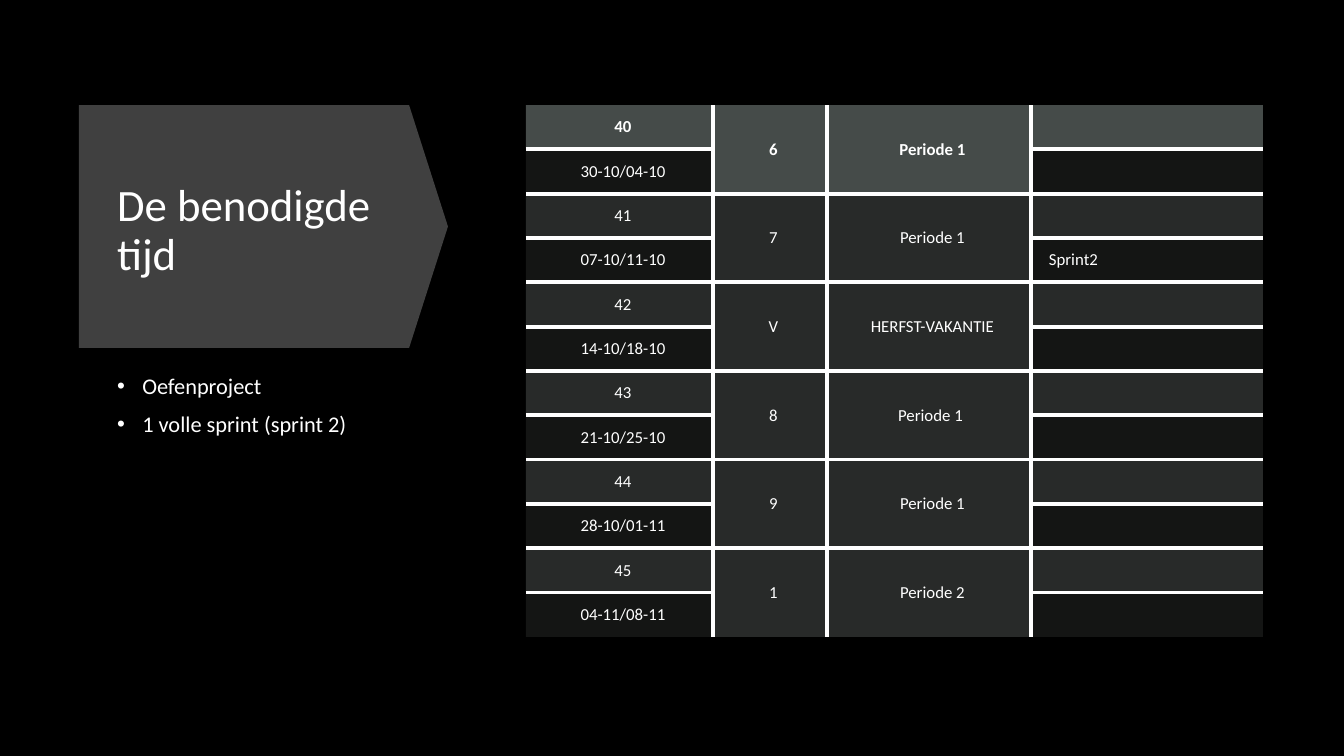
import pptx
import pptx.util
import pptx.dml.color
import pptx.enum.shapes
import pptx.enum.text
from lxml import etree

PX = 914400 / 100.8
DRAWING_NS = "http://schemas.openxmlformats.org/drawingml/2006/main"
WHITE = "FFFFFF"
MIDDLE = pptx.enum.text.MSO_ANCHOR.MIDDLE
LEFT = pptx.enum.text.PP_ALIGN.LEFT
CENTER = pptx.enum.text.PP_ALIGN.CENTER


def px(*lengths):
    """Convert pixel lengths to EMU."""
    return [pptx.util.Emu(round(length * PX)) for length in lengths]


def paint(target, color, size=None, bold=False):
    """Colour a fill, or style a font when a size is given."""
    rgb = pptx.dml.color.RGBColor.from_string(color)
    if size is None:
        target.solid()
        target.fore_color.rgb = rgb
    else:
        target.name = "Calibri"
        target.size = pptx.util.Pt(size)
        target.bold = bold
        target.color.rgb = rgb


presentation = pptx.Presentation()
presentation.slide_width, presentation.slide_height = px(1344, 756)
slide = presentation.slides.add_slide(presentation.slide_layouts[1])
paint(slide.background.fill, "000000")

# Arrow behind the title
arrow = slide.shapes.add_shape(
    pptx.enum.shapes.MSO_SHAPE.DOWN_ARROW, *px(142, 42, 243, 369))
arrow.rotation = 270
arrow.adjustments[0] = 1
arrow.adjustments[1] = 0.16
arrow.shadow.inherit = False
paint(arrow.fill, "404040")
arrow.line.fill.background()
slide.shapes._spTree.insert(2, arrow._element)

# Title and list
heading = slide.shapes.title
goals = slide.placeholders[1]
heading.text_frame.text = "De benodigde tijd"
goals.text_frame.text = "Oefenproject\n1 volle sprint (sprint 2)"
for placeholder, top, height, size in [(heading, 133, 197, 32), (goals, 370, 267, 16)]:
    placeholder.left, placeholder.top, placeholder.width, placeholder.height = px(
        107, top, 294, height)
    placeholder.text_frame.word_wrap = True
    placeholder.text_frame.auto_size = pptx.enum.text.MSO_AUTO_SIZE.NONE
    for paragraph in placeholder.text_frame.paragraphs:
        paragraph.alignment = LEFT
        paragraph.line_spacing = 0.9
        paint(paragraph.runs[0].font, WHITE, size)
heading.text_frame.vertical_anchor = MIDDLE
goals.text_frame.vertical_anchor = pptx.enum.text.MSO_ANCHOR.TOP
for paragraph in goals.text_frame.paragraphs:
    paragraph.space_before = pptx.util.Pt(10)
    indents = paragraph._p.get_or_add_pPr()
    indents.set("marL", "228600")
    indents.set("indent", "-228600")
    bullet = etree.SubElement(indents, f"{{{DRAWING_NS}}}buChar")
    bullet.set("char", "•")

# Planning: two rows per week
weeks = [
    ("40", "30-10/04-10", "6", "Periode 1", ""),
    ("41", "07-10/11-10", "7", "Periode 1", "Sprint2"),
    ("42", "14-10/18-10", "V", "HERFST-VAKANTIE", ""),
    ("43", "21-10/25-10", "8", "Periode 1 ", ""),
    ("44", "28-10/01-11", "9", "Periode 1", ""),
    ("45", "04-11/08-11", "1", "Periode 2", ""),
]
planning_rows = []
for number, dates, school_week, period, sprint in weeks:
    planning_rows += [(number, school_week, period, ""), (dates, "", "", sprint)]
row_count = len(planning_rows)

planning = slide.shapes.add_table(row_count, 4, *px(526, 105, 737, 532)).table
planning.first_row = planning.horz_banding = False
# Plain table style without grid
planning._tbl.tblPr[0].text = "{2D5ABB26-0587-4C30-8999-92F81FD0307C}"
for column, width in zip(planning.columns, px(187, 114, 204, 232)):
    column.width = width
for table_row in planning.rows:
    table_row.height = px(532)[0] // row_count
for first in range(0, row_count, 2):
    for c in (1, 2):
        planning.cell(first, c).merge(planning.cell(first + 1, c))

for r, texts in enumerate(planning_rows):
    upper = r % 2 == 0
    for c, text in enumerate(texts):
        cell = planning.cell(r, c)
        merged = c in (1, 2)
        cell.text_frame.text = text
        cell.vertical_anchor = MIDDLE
        cell.margin_left, cell.margin_right, cell.margin_top, cell.margin_bottom = px(
            18, 11, 11, 11)
        paragraph = cell.text_frame.paragraphs[0]
        paragraph.alignment = LEFT if c == 3 else CENTER
        for run in paragraph.runs:
            paint(run.font, WHITE, 12, bold=r == 0)
        if not text:
            paragraph._p.get_or_add_endParaRPr().set("sz", "1200")

        paint(cell.fill, "636B68" if r == 0 else "878E8B")
        properties = cell._tc.get_or_add_tcPr()
        tint = properties.find(f".//{{{DRAWING_NS}}}srgbClr")
        opacity = 70 if r == 0 else 30 if upper else 15
        etree.SubElement(tint, f"{{{DRAWING_NS}}}alpha").set("val", str(opacity * 1000))

        sprint_edge = upper or r == 1
        bottom_row = r + 2 if merged and upper else r + 1
        edges = [
            ("lnL", merged or (c == 3 and sprint_edge)),
            ("lnR", c < 2 or (c == 2 and sprint_edge)),
            ("lnT", r > 0 and (upper or not merged)),
            ("lnB", bottom_row < row_count),
        ]
        shown = [tag for tag, visible in edges if visible]
        for position, tag in enumerate(shown):
            border = etree.fromstring(
                f'<a:{tag} xmlns:a="{DRAWING_NS}" w="38100"><a:solidFill>'
                f'<a:srgbClr val="{WHITE}"/></a:solidFill></a:{tag}>')
            properties.insert(position, border)

presentation.save("out.pptx")
